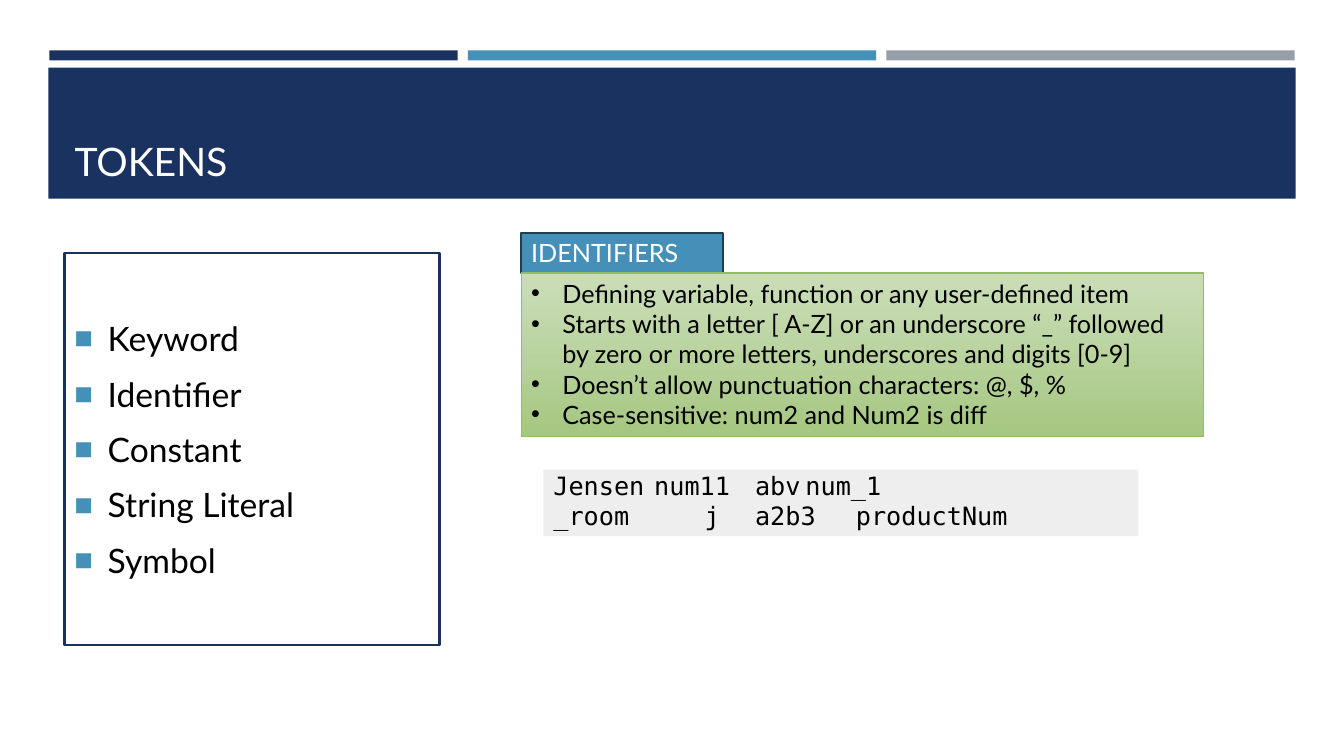
"""Build the TOKENS slide: token kinds, identifier rules and sample identifiers."""
from lxml import etree
from pptx import Presentation
from pptx import util as u
from pptx.dml import color
from pptx.enum import shapes, text
from pptx.oxml import ns

COLORS = {
    "navy": "1A3260", "blue": "4590B8", "gray": "969FA7", "white": "FFFFFF",
    "black": "000000", "dark_blue": "1E3F51", "green_line": "93BE60",
    "green_light": "C6DBB2", "green": "A6C881", "code": "EEEEEE",
}


def rgb(name):
    return color.RGBColor.from_string(COLORS[name])


def add_box(lines, left, top, width, height, fill="white", line=None, line_width=1,
            size=18, font="Lato", ink="black", anchor="TOP", top_inset=0.05,
            bullet=None, bullet_color=None, bullet_size=100, indent=0, before=0, after=0):
    shape = slide.shapes.add_shape(
        shapes.MSO_SHAPE.RECTANGLE, u.Inches(left), u.Inches(top), u.Inches(width), u.Inches(height))
    shape.shadow.inherit = False
    shape.fill.solid()
    shape.fill.fore_color.rgb = rgb(fill)
    if line:
        shape.line.color.rgb = rgb(line)
        shape.line.width = u.Pt(line_width)
    else:
        shape.line.fill.background()
    frame = shape.text_frame
    frame.word_wrap = True
    frame.margin_top = u.Inches(top_inset)
    frame.vertical_anchor = text.MSO_ANCHOR[anchor]
    for index, content in enumerate(lines):
        paragraph = frame.add_paragraph() if index else frame.paragraphs[0]
        paragraph.text = content
        paragraph.alignment = text.PP_ALIGN.LEFT
        paragraph.space_before = u.Pt(before)
        paragraph.space_after = u.Pt(after)
        paragraph.font.size = u.Pt(size)
        paragraph.font.name = font
        paragraph.font.color.rgb = rgb(ink)
        for run in paragraph.runs:
            run.font.size = u.Pt(size)
            run.font.name = font
            run.font.color.rgb = rgb(ink)
        if bullet:
            properties = paragraph._p.get_or_add_pPr()
            properties.set("marL", str(u.Inches(indent)))
            properties.set("indent", str(-u.Inches(indent)))
            marks = [("a:buSzPct", "val", str(bullet_size * 1000)),
                     ("a:buFont", "typeface", "Arial"), ("a:buChar", "char", bullet)]
            if bullet_color:
                holder = etree.SubElement(properties, ns.qn("a:buClr"))
                etree.SubElement(holder, ns.qn("a:srgbClr"), val=COLORS[bullet_color])
            for tag, attribute, value in marks:
                etree.SubElement(properties, ns.qn(tag)).set(attribute, value)
    return shape


presentation = Presentation()
presentation.slide_width = u.Inches(13.33)
presentation.slide_height = u.Inches(7.5)
slide = presentation.slides.add_slide(presentation.slide_layouts[6])

for column, fill in enumerate(["navy", "blue", "gray"]):
    add_box([], 0.49 + 4.15 * column, 0.5, 4.05, 0.1, fill=fill)

title = add_box(["TOKENS"], 0.48, 0.67, 12.37, 1.3, fill="navy", size=28, ink="white", anchor="BOTTOM")
title.text_frame.margin_left = u.Inches(0.26)
title.text_frame.margin_bottom = u.Inches(0.14)

add_box(["Keyword", "Identifier", "Constant", "String Literal", "Symbol"],
        0.64, 2.51, 3.72, 3.89, line="navy", line_width=1.75, size=24, anchor="MIDDLE",
        bullet="■", bullet_color="blue", bullet_size=92, indent=0.33, before=4.8, after=6)

add_box(["IDENTIFIERS"], 5.17, 2.31, 2, 0.4, fill="blue", line="dark_blue", line_width=1.75, ink="white")

rules = add_box(
    ["Defining variable, function or any user-defined item",
     "Starts with a letter [ A-Z] or an underscore “_” followed by zero or more letters, "
     "underscores and digits [0-9]",
     "Doesn’t allow punctuation characters: @, $, %",
     "Case-sensitive: num2 and Num2 is diff"],
    5.17, 2.71, 6.77, 1.62, line="green_line", bullet="•", indent=0.31)
rules.fill.gradient()
rules.fill.gradient_angle = 270
for stop, shade in zip(rules.fill.gradient_stops, ["green_light", "green"]):
    stop.color.rgb = rgb(shade)
light = rules._element.spPr.find(".//" + ns.qn("a:srgbClr"))
etree.SubElement(light, ns.qn("a:alpha"), val="90000")

add_box(["Jensen\tnum11\tabv\tnum_1", "_room\t\tj\ta2b3\tproductNum"],
        5.39, 4.66, 5.9, 0.66, fill="code", font="DejaVu Sans Mono", anchor="MIDDLE", top_inset=0)

presentation.save("out.pptx")
